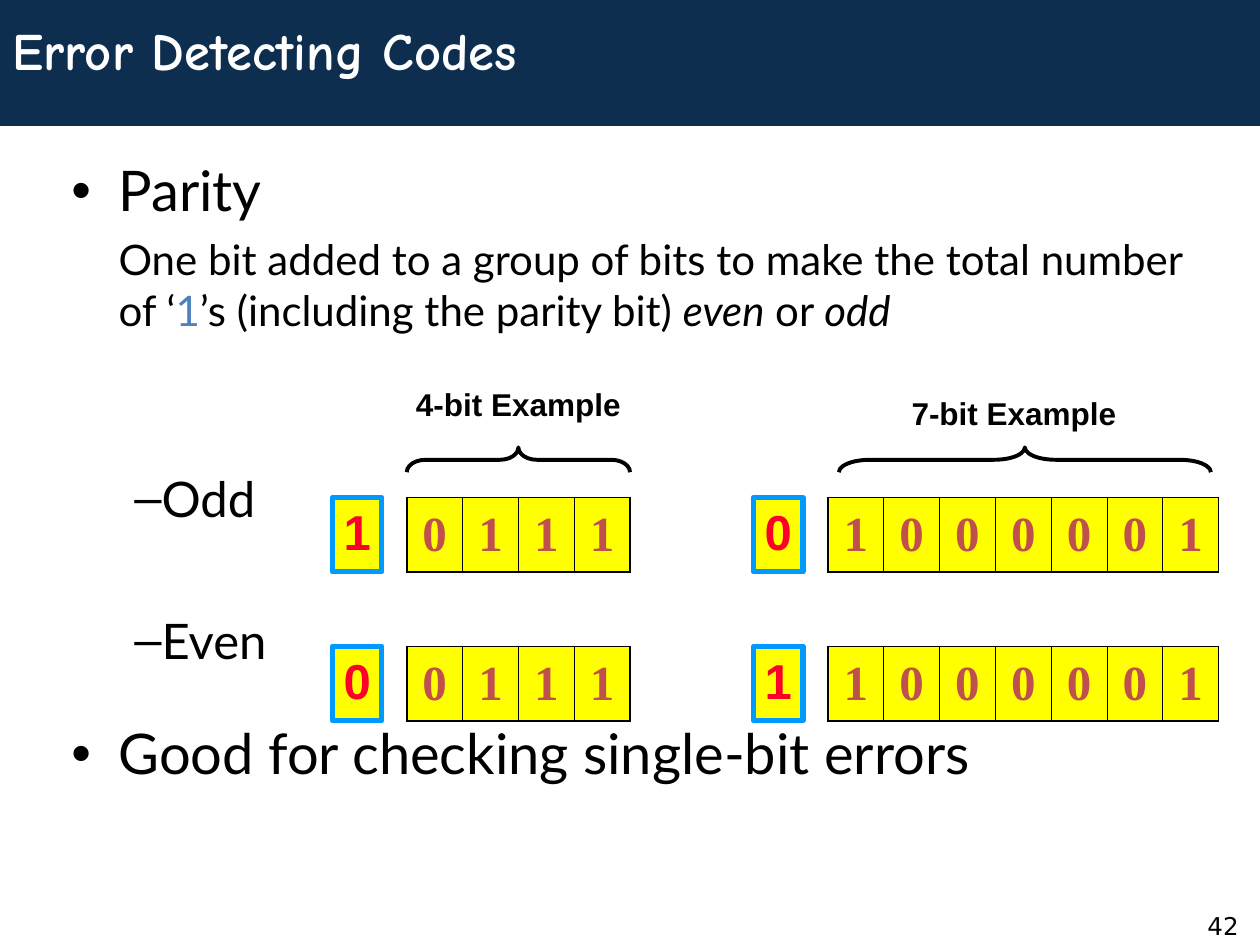
from lxml import etree
from pptx import Presentation
from pptx.dml.color import RGBColor
from pptx.enum.shapes import MSO_SHAPE
from pptx.enum.text import MSO_ANCHOR, PP_ALIGN
from pptx.oxml.ns import qn
from pptx.util import Cm, Pt

RECT, BRACE = MSO_SHAPE.RECTANGLE, MSO_SHAPE.LEFT_BRACE
MIDDLE, TOP = MSO_ANCHOR.MIDDLE, MSO_ANCHOR.TOP
LEFT, CENTER, RIGHT = PP_ALIGN.LEFT, PP_ALIGN.CENTER, PP_ALIGN.RIGHT

COLORS = {
    "band": "0D2E4F", "white": "FFFFFF", "black": "000000", "blue": "4F81BD",
    "cell": "FFFF00", "bit": "C0504D", "parity": "FC0128", "frame": "0099FF",
}
CELL_W, CELL_H = 1.125, 1.5
PARITY_W, DATA_OFFSET = 1.0, 1.5
ROW_TOPS = (10.03, 13.03)

# left edge, data bits, odd and even parity bits, brace (left, width), label (text, left, top)
EXAMPLES = [
    (6.7, "0111", "10", (8.2, 4.5), ("4-bit Example", 8.2, 7.85)),
    (15.19, "1000001", "01", (16.91, 7.5), ("7-bit Example", 18.19, 8.03)),
]


def rgb(name):
    return RGBColor.from_string(COLORS[name])


def add_run(p, text, size, font, color, bold=False, italic=False):
    r = p.add_run()
    r.text = text
    r.font.size, r.font.name = Pt(size), font
    r.font.bold, r.font.italic = bold, italic
    r.font.color.rgb = rgb(color)


def setup_frame(tf, anchor=TOP, margin=0.0, wrap=True):
    tf.word_wrap = wrap
    tf.vertical_anchor = anchor
    tf.margin_left = tf.margin_right = Cm(margin)
    tf.margin_top = tf.margin_bottom = Cm(margin / 2)


def set_bullet(p, indent, first, char=None):
    """Set left margin and first-line indent in cm, and an optional bullet."""
    ppr = p._p.get_or_add_pPr()
    ppr.set("marL", str(Cm(indent)))
    ppr.set("indent", str(Cm(first)))
    if char:
        clr = etree.SubElement(ppr, qn("a:buClr"))
        etree.SubElement(clr, qn("a:srgbClr"), val=COLORS["black"])
        etree.SubElement(ppr, qn("a:buFont"), typeface="Arial")
        etree.SubElement(ppr, qn("a:buChar"), char=char)
    else:
        etree.SubElement(ppr, qn("a:buNone"))


def set_borders(cell, widths):
    """Draw black borders; widths maps lnL, lnR, lnT, lnB to points."""
    tcpr = cell._tc.get_or_add_tcPr()
    for i, (side, width) in enumerate(widths.items()):
        ln = etree.Element(qn(f"a:{side}"), w=str(Pt(width)))
        fill = etree.SubElement(ln, qn("a:solidFill"))
        etree.SubElement(fill, qn("a:srgbClr"), val=COLORS["black"])
        tcpr.insert(i, ln)


def add_header(s, text):
    title = s.shapes.title
    band = s.shapes.add_shape(RECT, 0, 0, Cm(25.4), Cm(2.54))
    band.shadow.inherit = False
    band.fill.solid()
    band.fill.fore_color.rgb = rgb("band")
    band.line.fill.background()
    title._element.addprevious(band._element)

    title.left, title.top, title.width, title.height = 0, Cm(0.03), Cm(25.37), Cm(1.93)
    setup_frame(title.text_frame, MIDDLE, 0.25)
    p = title.text_frame.paragraphs[0]
    p.alignment = LEFT
    add_run(p, text, 30, "Comic Neue", "white", bold=True)


def add_body(s, x, y, w, h):
    tf = s.shapes.add_textbox(Cm(x), Cm(y), Cm(w), Cm(h)).text_frame
    setup_frame(tf, margin=0.25)
    hanging, dashed = (0.95, -0.95, "•"), (0.03, 1.24, "–")
    plain = (0.95, 0)
    definition = [
        ("One bit added to a group of bits to make the total number of ‘", "black", False),
        ("1", "blue", False),
        ("’s (including the parity bit) ", "black", False),
        ("even", "black", True),
        (" or ", "black", False),
        ("odd", "black", True),
    ]
    # indents and bullet, size, space before, runs
    paragraphs = [
        (hanging, 32, 0, [("Parity", "black", False)]),
        (plain, 24, 6, definition),
        (dashed, 28, 76.6, [("Odd", "black", False)]),
        (dashed, 28, 47.6, [("Even", "black", False)]),
        (hanging, 32, 28.3, [("Good for checking single-bit errors", "black", False)]),
    ]
    for i, (bullet, size, before, runs) in enumerate(paragraphs):
        p = tf.add_paragraph() if i else tf.paragraphs[0]
        set_bullet(p, *bullet)
        p.space_before = Pt(before)
        for text, color, italic in runs:
            add_run(p, text, size, "Lato", color, italic=italic)


def add_parity_box(s, x, y, bit):
    sp = s.shapes.add_shape(RECT, Cm(x), Cm(y), Cm(PARITY_W), Cm(CELL_H))
    sp.shadow.inherit = False
    sp.fill.solid()
    sp.fill.fore_color.rgb = rgb("cell")
    sp.line.color.rgb = rgb("frame")
    sp.line.width = Pt(3)
    setup_frame(sp.text_frame, MIDDLE, wrap=False)
    p = sp.text_frame.paragraphs[0]
    p.alignment, p.line_spacing = CENTER, 0.9
    add_run(p, bit, 28, "Arial", "parity", bold=True)


def add_data_bits(s, x, y, bits):
    n = len(bits)
    table = s.shapes.add_table(1, n, Cm(x), Cm(y), Cm(n * CELL_W), Cm(CELL_H)).table
    table.first_row = table.horz_banding = False
    for i, bit in enumerate(bits):
        table.columns[i].width = Cm(CELL_W)
        cell = table.cell(0, i)
        cell.fill.solid()
        cell.fill.fore_color.rgb = rgb("cell")
        cell.vertical_anchor = MIDDLE
        set_borders(cell, {"lnL": 0.45 if i else 1.08, "lnR": 0.45 if i < n - 1 else 1.08,
                           "lnT": 1.08, "lnB": 1.08})
        p = cell.text_frame.paragraphs[0]
        p.alignment = CENTER
        add_run(p, bit, 28, "Times New Roman", "bit", bold=True)


def add_brace(s, x, y, w, h):
    """Brace pointing up: a left brace of size h by w, turned a quarter."""
    sp = s.shapes.add_shape(BRACE, Cm(x + (w - h) / 2), Cm(y + (h - w) / 2), Cm(h), Cm(w))
    sp.rotation = 90
    sp.adjustments[0] = w / h / 12
    sp.shadow.inherit = False
    sp.fill.background()
    sp.line.color.rgb = rgb("black")
    sp.line.width = Pt(2.25)


def add_label(s, x, y, text):
    tf = s.shapes.add_textbox(Cm(x), Cm(y), Cm(4.5), Cm(0.69)).text_frame
    setup_frame(tf)
    p = tf.paragraphs[0]
    p.alignment, p.line_spacing = CENTER, 0.9
    add_run(p, text, 18, "Arial", "black", bold=True)


def add_example(s, x, bits, parity_bits, brace, label):
    for y, parity in zip(ROW_TOPS, parity_bits):
        add_parity_box(s, x, y, parity)
        add_data_bits(s, x + DATA_OFFSET, y, bits)
    brace_x, brace_w = brace
    add_brace(s, brace_x, 9.02, brace_w, 0.5)
    text, label_x, label_y = label
    add_label(s, label_x, label_y, text)


def add_page_number(s, x, y, w, h, number):
    tf = s.shapes.add_textbox(Cm(x), Cm(y), Cm(w), Cm(h)).text_frame
    setup_frame(tf, margin=0.25)
    p = tf.paragraphs[0]
    p.alignment = RIGHT
    add_run(p, number, 14, "DejaVu Sans", "black")


def main():
    prs = Presentation()
    prs.slide_width, prs.slide_height = Cm(25.4), Cm(19.05)
    s = prs.slides.add_slide(prs.slide_layouts[5])
    add_header(s, "Error Detecting Codes")
    add_body(s, 1.19, 3.02, 23.01, 13.89)
    for example in EXAMPLES:
        add_example(s, *example)
    add_page_number(s, 22.05, 18.24, 3.17, 0.81, "42")
    prs.save("out.pptx")


if __name__ == "__main__":
    main()
